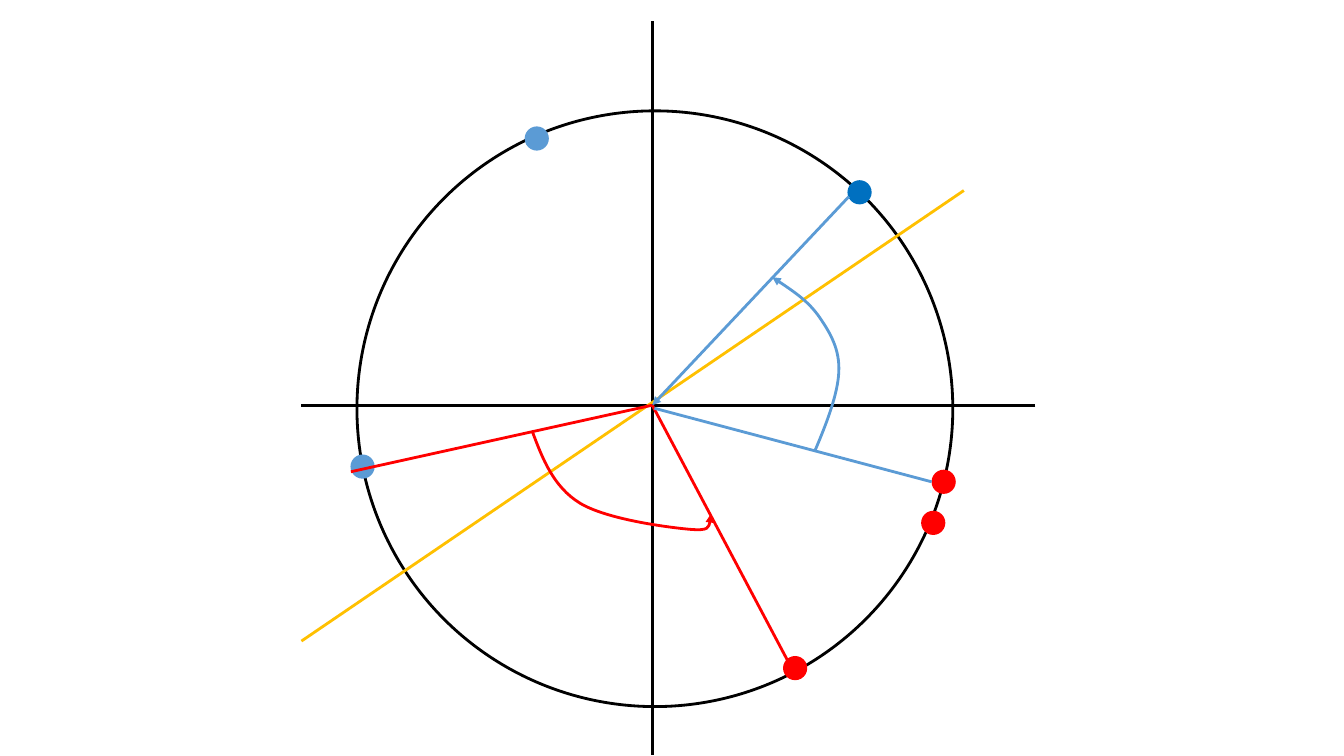
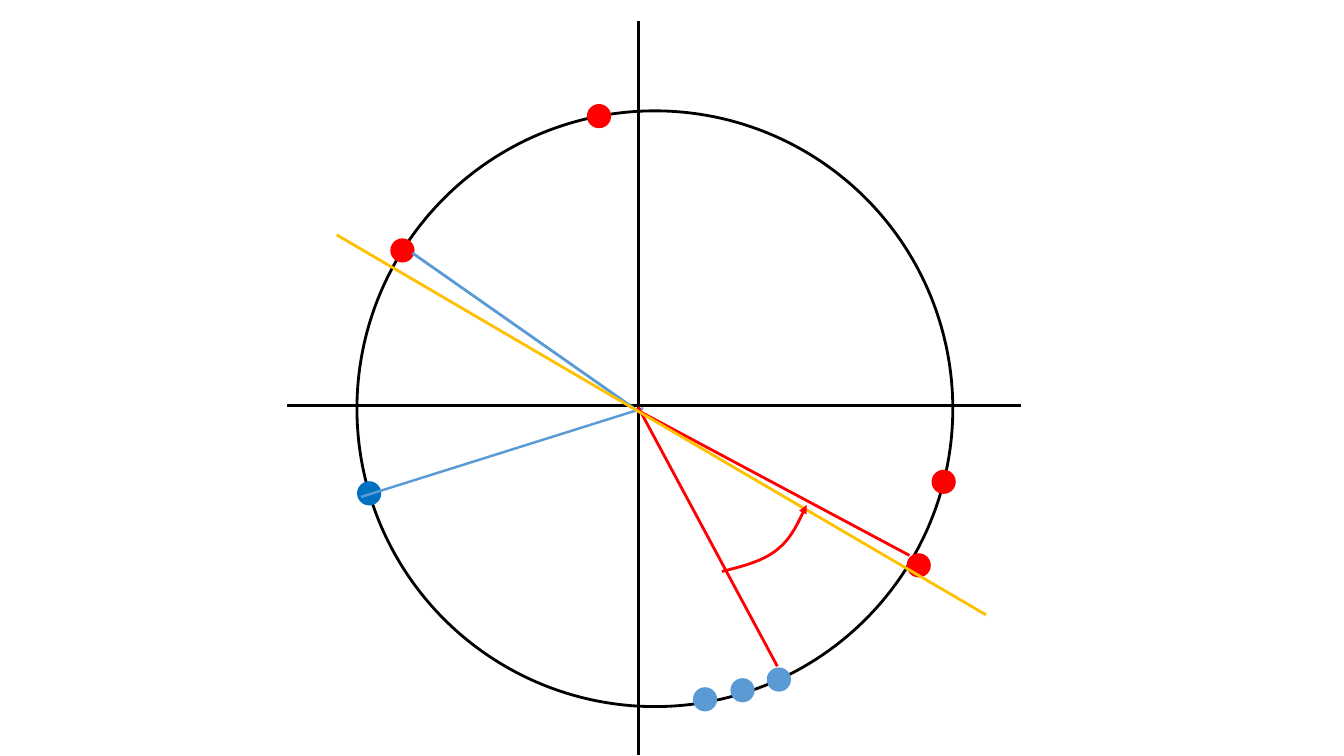
import itertools
import math

import lxml.etree
import pptx
import pptx.dml.color
import pptx.enum.shapes
import pptx.oxml.ns
import pptx.util

BLACK, RED, BLUE, NAVY, ORANGE = "000000", "FF0000", "5B9BD5", "0070C0", "FFC000"
DIAMETER = 5.91
DOT = 0.24
AXIS_Y = 2.92
LEFT, RIGHT, UP, DOWN = -3.48, 3.8, -3.81, 3.47
STROKE = 2
qn = pptx.oxml.ns.qn


def rgb(value):
    """Turn a hex string into a colour."""
    return pptx.dml.color.RGBColor.from_string(value)


def style_line(stroke, color, width=STROKE, arrow=False):
    """Give a stroke its colour, width and optional arrowhead."""
    stroke.line.color.rgb = rgb(color)
    stroke.line.width = pptx.util.Pt(width)
    if arrow:
        outline = stroke.element.spPr.find(qn("a:ln"))
        lxml.etree.SubElement(outline, qn("a:tailEnd"), type="triangle")


def add_disc(slide, center, diameter, fill=None):
    """Add a filled dot, or an outlined circle when no fill is given."""
    x, y = center
    disc = slide.shapes.add_shape(
        pptx.enum.shapes.MSO_SHAPE.OVAL,
        round(x - diameter / 2), round(y - diameter / 2), round(diameter), round(diameter))
    disc.shadow.inherit = False
    if fill:
        disc.fill.solid()
        disc.fill.fore_color.rgb = rgb(fill)
        disc.line.fill.background()
    else:
        disc.fill.background()
        style_line(disc, BLACK)


def add_ray(slide, start, end, color, width=STROKE, arrow=False):
    """Add a straight line between two points."""
    ray = slide.shapes.add_connector(
        pptx.enum.shapes.MSO_CONNECTOR.STRAIGHT, *start, *end)
    style_line(ray, color, width, arrow)
    lxml.etree.SubElement(ray.element.spPr, qn("a:effectLst"))


def add_turn(slide, points, color):
    """Add a curved arrow through Bezier points: a start, then triples."""
    builder = slide.shapes.build_freeform(*points[0])
    builder.add_line_segments(points[1:], close=False)
    turn = builder.convert_to_shape()
    turn.fill.background()
    turn.shadow.inherit = False
    style_line(turn, color, arrow=True)
    steps = list(turn.element.iter(qn("a:lnTo")))
    outline = steps[0].getparent()
    for first in range(0, len(steps), 3):
        curve = lxml.etree.SubElement(outline, qn("a:cubicBezTo"))
        for step in steps[first:first + 3]:
            curve.append(step[0])
            outline.remove(step)


def add_unit_circle(slide, box, axis_x, dots, rays, turns):
    """Draw circle, dots, axes, rays and turns; lengths scale with the box."""
    left, top, size = box
    unit = size / DIAMETER
    center = left + size / 2, top + size / 2

    def place(point):
        """Convert an offset from the axis crossing to slide lengths."""
        return (round(left + (axis_x + point[0]) * unit),
                round(top + (AXIS_Y + point[1]) * unit))

    add_disc(slide, center, size)
    for color, angle, share in dots:
        reach, turn = share * size / 2, math.radians(angle)
        spot = center[0] + reach * math.cos(turn), center[1] - reach * math.sin(turn)
        add_disc(slide, spot, DOT * unit, color)
    axes = [(BLACK, (0, DOWN), (0, UP)), (BLACK, (RIGHT, 0), (LEFT, 0))]
    for color, start, end, *style in itertools.chain(axes, rays):
        add_ray(slide, place(start), place(end), color, *style)
    for color, points in turns:
        add_turn(slide, [place(point) for point in points], color)


FIRST = dict(
    axis_x=2.93,
    dots=[(RED, -22.3, 1.01), (RED, -14.2, 1), (BLUE, 191.2, 1),
          (NAVY, 46.6, 1), (BLUE, 113.6, 0.99), (RED, -61.6, 0.99)],
    rays=[(ORANGE, (3.09, -2.13), (-3.48, 2.34)),
          (RED, (-2.99, 0.66), (0, 0)),
          (RED, (0, 0), (1.34, 2.53)),
          (BLUE, (1.95, -2.07), (0, 0), STROKE, True),
          (BLUE, (2.77, 0.76), (0.02, 0.03))],
    turns=[(BLUE, [(1.61, 0.46),
                   (1.73, 0.18), (1.84, -0.11), (1.85, -0.33),
                   (1.86, -0.55), (1.77, -0.71), (1.66, -0.87),
                   (1.55, -1.03), (1.37, -1.15), (1.19, -1.27)]),
           (RED, [(-1.19, 0.26),
                  (-1.09, 0.53), (-0.98, 0.81), (-0.72, 0.97),
                  (-0.46, 1.13), (0.14, 1.21), (0.36, 1.23),
                  (0.57, 1.25), (0.58, 1.17), (0.58, 1.08)])])

SECOND = dict(
    axis_x=2.79,
    dots=[(BLUE, -72.7, 0.99), (RED, -14.2, 1), (RED, 147.9, 1),
          (NAVY, 196.5, 1), (RED, -30.7, 1.03), (BLUE, -65.4, 1),
          (RED, 100.8, 1), (BLUE, -80.2, 0.99)],
    rays=[(BLUE, (0, 0.06), (-2.24, -1.51)),
          (BLUE, (0.05, 0.03), (-2.75, 0.91), 1.75),
          (RED, (0, 0.02), (1.38, 2.59)),
          (RED, (0.03, 0.07), (2.69, 1.49)),
          (ORANGE, (-2.99, -1.69), (3.45, 2.08))],
    turns=[(RED, [(0.83, 1.65),
                  (1.03, 1.6), (1.23, 1.55), (1.37, 1.44),
                  (1.51, 1.33), (1.59, 1.16), (1.67, 0.99)])])

deck = pptx.Presentation()
deck.slide_width = pptx.util.Inches(13.33)
deck.slide_height = pptx.util.Inches(7.5)
circle_box = [pptx.util.Inches(length) for length in (3.54, 1.1, DIAMETER)]
for diagram in (FIRST, SECOND):
    add_unit_circle(deck.slides.add_slide(deck.slide_layouts[6]), circle_box, **diagram)
deck.save("out.pptx")
